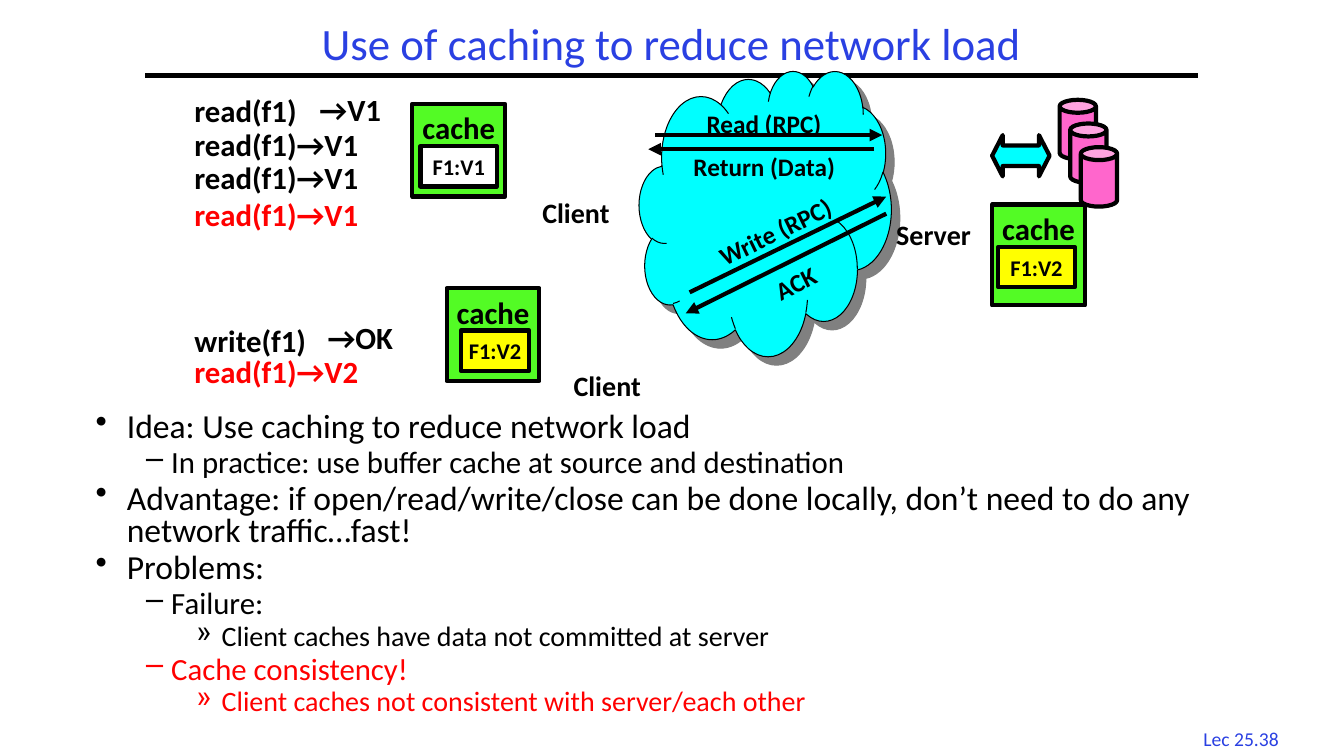
from lxml import etree
from pptx import Presentation
from pptx import util as u
from pptx.dml import color
from pptx.enum import shapes, text
from pptx.oxml import ns

HUES = {"ink": "000000", "blue": "2A40E2", "red": "FF0000", "green": "53FB25",
        "gold": "FFFF00", "white": "FFFFFF", "cyan": "00FFFF", "pink": "FF66CC",
        "gray": "808080"}
FONT = "Calibri"
LEFT, MID = text.PP_ALIGN.LEFT, text.PP_ALIGN.CENTER
KINDS = shapes.MSO_SHAPE


def hue(name):
    return color.RGBColor.from_string(HUES[name])


def place(box):
    return [u.Inches(n) for n in box]


def sub(node, tag, **attrs):
    return etree.SubElement(node, ns.qn(tag), **attrs)


def style(para, size, ink="ink", bold=True, align=LEFT):
    para.alignment = align
    font = para.font
    font.name, font.size, font.bold = FONT, u.Pt(size), bold
    font.color.rgb = hue(ink)


def label(slide, box, words, size, ink="ink", bold=True, align=LEFT, turn=0, wrap=False):
    note = slide.shapes.add_textbox(*place(box))
    note.rotation = turn
    frame = note.text_frame
    frame.word_wrap = wrap
    frame.auto_size = text.MSO_AUTO_SIZE.SHAPE_TO_FIT_TEXT
    frame.text = words
    style(frame.paragraphs[0], size, ink, bold, align)


def shape(slide, kind, box, fill, width=3, adjust=()):
    item = slide.shapes.add_shape(kind, *place(box))
    item.shadow.inherit = False
    item.fill.solid()
    item.fill.fore_color.rgb = hue(fill)
    item.line.color.rgb = hue("ink")
    item.line.width = u.Pt(width)
    for i, value in enumerate(adjust):
        item.adjustments[i] = value
    return item


def block(slide, box, fill, words, size, anchor):
    frame = shape(slide, KINDS.RECTANGLE, box, fill).text_frame
    frame.word_wrap = False
    frame.vertical_anchor = anchor
    frame.text = words
    style(frame.paragraphs[0], size, align=MID)


def line(slide, start, end, arrow=True):
    item = slide.shapes.add_connector(shapes.MSO_CONNECTOR.STRAIGHT, *place(start + end))
    item.line.color.rgb = hue("ink")
    item.line.width = u.Pt(3)
    if arrow:
        sub(item.line._get_or_add_ln(), "a:tailEnd", type="triangle")
    sub(item._element.spPr, "a:effectLst")


def head(slide, box):
    x, y, w, h = box
    title = slide.shapes.title
    title.left, title.top, title.width, title.height = place(box)
    frame = title.text_frame
    frame.vertical_anchor = text.MSO_ANCHOR.MIDDLE
    frame.text = "Use of caching to reduce network load"
    para = frame.paragraphs[0]
    para.line_spacing = 0.9
    style(para, 32, "blue", False, MID)
    line(slide, (x, y + h), (x + w, y + h), False)


def cache(slide, box, data, fill, inset, width):
    x, y, w, h = box
    block(slide, box, "green", "cache", 22, text.MSO_ANCHOR.TOP)
    block(slide, (x + inset, y + 0.42, width, 0.4), fill, data, 16, text.MSO_ANCHOR.MIDDLE)


def client(slide, box, calls, store, name):
    x, y, w, h = box
    for dx, dy, words, ink in calls:
        label(slide, (x + dx, y + dy, w, h), words, 22, ink)
    cache(slide, *store)
    label(slide, name, "Client", 20)


def cloud(slide, box):
    x, y, w, h = box
    puff = shape(slide, KINDS.CLOUD, box, "cyan", 0.75)
    effects = puff._element.spPr.find(ns.qn("a:effectLst"))
    shade = sub(effects, "a:outerShdw", dist=str(u.Pt(8.5)), dir="2700000", algn="ctr", rotWithShape="0")
    sub(shade, "a:srgbClr", val=HUES["gray"])
    for start, end in [((0.16, 0.64), (2.41, 0.64)), ((2.33, 0.78), (0.09, 0.78)),
                       ((0.5, 2.2), (2.45, 1.25)), ((2.45, 1.42), (0.46, 2.41))]:
        line(slide, (x + start[0], y + start[1]), (x + end[0], y + end[1]))
    for dx, dy, width, words, align, turn, wrap in [
            (0.57, 0.33, 1.59, "Read (RPC)", LEFT, 0, False),
            (0.34, 0.75, 1.8, "Return (Data)", MID, 0, False),
            (0.64, 1.35, 1.6, "Write (RPC)", LEFT, 334, False),
            (0.47, 1.91, 2.16, "ACK", MID, 333.5, True)]:
        label(slide, (x + dx, y + dy, width, 0.4), words, 18, align=align, turn=turn, wrap=wrap)


def server(slide, box):
    x, y, w, h = box
    label(slide, (x, y + 1.12, 1.11, 0.43), "Server", 20)
    cache(slide, (x + 1.05, y + 1.04, 0.92, 1), "F1:V2", "gold", 0.06, 0.76)
    for i in range(3):
        shape(slide, KINDS.CAN, (x + 1.72 + i * 0.105, y + i * 0.235, 0.36, 0.59), "pink", adjust=[0.357])
    shape(slide, KINDS.LEFT_RIGHT_ARROW, (x + 1.05, y + 0.35, 0.57, 0.41), "cyan", adjust=[0.5, 0.257])


def body(slide, box):
    frame = slide.shapes.add_textbox(*place(box)).text_frame
    frame.word_wrap = True
    ranks = [("•", 24, 0.31, 0.31), ("–", 22, 0.75, 0.25), ("»", 20, 1.25, 0.25)]
    items = [(0, "Idea: Use caching to reduce network load", "ink"),
             (1, "In practice: use buffer cache at source and destination", "ink"),
             (0, "Advantage: if open/read/write/close can be done locally, don’t need to do any "
                 "network traffic…fast!", "ink"),
             (0, "Problems:", "ink"),
             (1, "Failure:", "ink"),
             (2, "Client caches have data not committed at server", "ink"),
             (1, "Cache consistency!", "red"),
             (2, "Client caches not consistent with server/each other", "red")]
    for i, (rank, words, ink) in enumerate(items):
        mark, size, left, hang = ranks[rank]
        para = frame.add_paragraph() if i else frame.paragraphs[0]
        para.text = words
        para.level = rank
        props = para._p.get_or_add_pPr()
        props.set("marL", str(u.Inches(left)))
        props.set("indent", str(-u.Inches(hang)))
        sub(props, "a:buChar", char=mark)
        para.line_spacing = 0.8
        if i:
            para.space_before = u.Pt(0.15 * size)
        style(para, size, ink, False)


def main():
    deck = Presentation()
    deck.slide_width, deck.slide_height = u.Inches(13.33), u.Inches(7.5)
    slide = deck.slides.add_slide(deck.slide_layouts[5])
    head(slide, (1.44, 0.17, 10.44, 0.58))
    cloud(slide, (6.34, 0.7, 2.5, 2.83))
    client(slide, (1.83, 0.86, 2.02, 0.47),
           [(0, 0, "read(f1)", "ink"), (1.24, -0.01, "→V1", "ink"),
            (0, 0.34, "read(f1)→V1", "ink"), (0, 0.67, "read(f1)→V1", "ink"),
            (0, 1.03, "read(f1)→V1", "red")],
           ((4.09, 1.03, 0.92, 0.92), "F1:V1", "white", 0.08, 0.76), (5.28, 1.89, 0.98, 0.43))
    client(slide, (1.83, 3.14, 2.02, 0.47),
           [(0, 0, "write(f1)", "ink"), (1.32, -0.03, "→OK", "ink"),
            (0, 0.31, "read(f1)→V2", "red")],
           ((4.43, 2.86, 0.92, 0.92), "F1:V2", "gold", 0.14, 0.68), (5.59, 3.61, 0.98, 0.43))
    server(slide, (8.79, 0.99, 2.29, 2.04))
    body(slide, (0.85, 4.05, 11.65, 3.33))
    label(slide, (11.77, 7.16, 1.08, 0.33), "Lec 25.38", 14, "blue", False, MID)
    deck.save("out.pptx")


if __name__ == "__main__":
    main()
